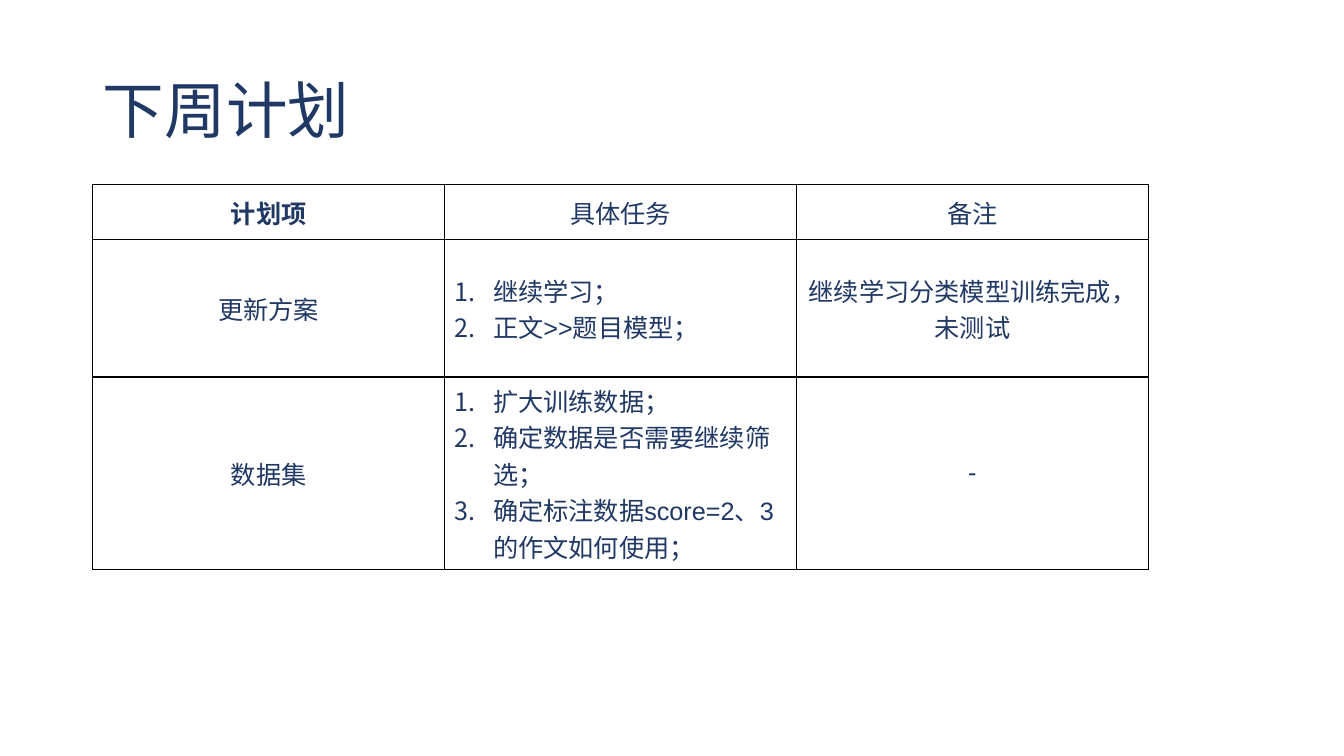
from lxml import etree
from pptx import Presentation
from pptx.dml.color import RGBColor
from pptx.enum.text import MSO_ANCHOR, PP_ALIGN
from pptx.oxml.ns import qn
from pptx.util import Inches, Pt

LEFT, CENTER = PP_ALIGN.LEFT, PP_ALIGN.CENTER
MIDDLE = MSO_ANCHOR.MIDDLE
NAVY, BLACK = "203864", "000000"
HEADS = ["计划项", "具体任务", "备注"]
PLANS = [
    ["更新方案", ["继续学习；", "正文>>题目模型；"], "继续学习分类模型训练完成，未测试"],
    ["数据集",
     ["扩大训练数据；", "确定数据是否需要继续筛选；", "确定标注数据score=2、3的作文如何使用；"],
     "-"],
]
WIDTH = 3.49
HEIGHTS = [0.55, 1.36, 1.76]


def color(code):
    """Turn a hex string into a colour."""
    return RGBColor.from_string(code)


def style(par, name, size, bold=False):
    """Format the runs of a paragraph."""
    for run in par.runs:
        run.font.name = name
        run.font.size = Pt(size)
        run.font.bold = bold
        run.font.color.rgb = color(NAVY)


def number(par):
    """Give a paragraph an automatic number and a hanging indent."""
    props = par._p.get_or_add_pPr()
    props.set("marL", str(Inches(0.38)))
    props.set("indent", str(-Inches(0.38)))
    etree.SubElement(props, qn("a:buFont"), typeface="+mj-lt")
    etree.SubElement(props, qn("a:buAutoNum"), type="arabicPeriod")


def border(cell):
    """Draw a thin line on all sides of a cell."""
    props = cell._tc.get_or_add_tcPr()
    for side in ("lnL", "lnR", "lnT", "lnB"):
        line = etree.SubElement(props, qn("a:" + side), w=str(Pt(1)))
        fill = etree.SubElement(line, qn("a:solidFill"))
        etree.SubElement(fill, qn("a:srgbClr"), val=BLACK)


def fill_cell(cell, item, bold):
    """Write centred text or a numbered list into a cell."""
    listed = isinstance(item, list)
    cell.text_frame.text = "\n".join(item) if listed else item
    cell.vertical_anchor = MIDDLE
    border(cell)
    cell.fill.background()
    for par in cell.text_frame.paragraphs:
        if listed:
            number(par)
        par.alignment = LEFT if listed else CENTER
        style(par, "Arial", 18, bold)


def add_title(slide, text):
    """Place and format the slide title."""
    title = slide.shapes.title
    title.left, title.top = Inches(0.92), Inches(0.4)
    title.width, title.height = Inches(11.5), Inches(1.45)
    frame = title.text_frame
    frame.text = text
    frame.vertical_anchor = MIDDLE
    par = frame.paragraphs[0]
    par.alignment = LEFT
    par.line_spacing = 0.9
    style(par, "Times New Roman", 44)


def add_plan(slide):
    """Build the table of plans."""
    rows = [HEADS] + PLANS
    table = slide.shapes.add_table(
        len(rows), len(HEADS), Inches(0.92), Inches(1.83),
        Inches(WIDTH * len(HEADS)), Inches(sum(HEIGHTS))).table
    table.first_row = table.horz_banding = False
    for col in table.columns:
        col.width = Inches(WIDTH)
    for r, items in enumerate(rows):
        table.rows[r].height = Inches(HEIGHTS[r])
        for c, item in enumerate(items):
            fill_cell(table.cell(r, c), item, r == c == 0)


def main():
    """Build and save the slide."""
    deck = Presentation()
    deck.slide_width, deck.slide_height = Inches(13.33), Inches(7.5)
    slide = deck.slides.add_slide(deck.slide_layouts[5])
    add_title(slide, "下周计划")
    add_plan(slide)
    deck.save("out.pptx")


if __name__ == "__main__":
    main()
